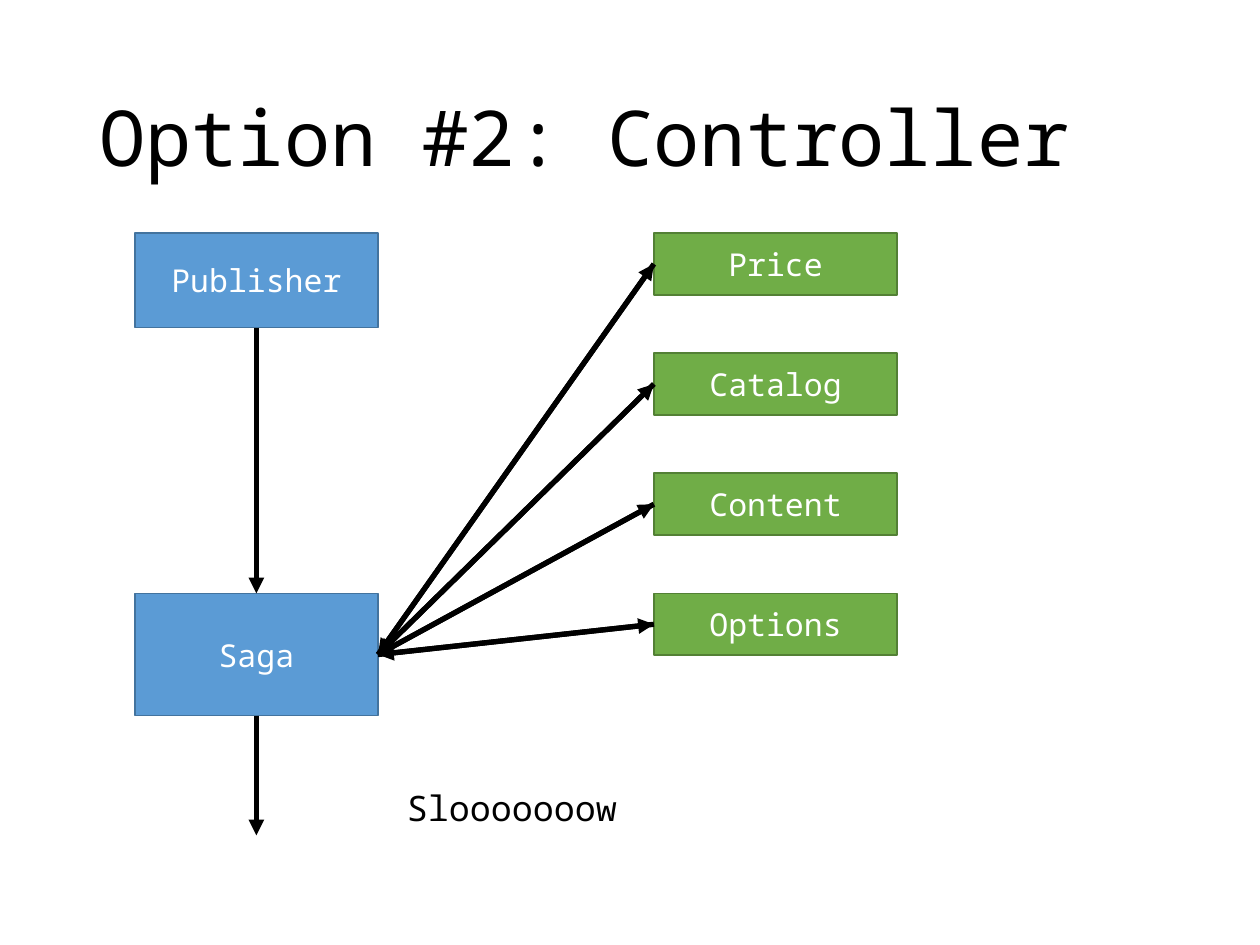
from lxml import etree
from pptx import Presentation
from pptx.dml.color import RGBColor
from pptx.enum.shapes import MSO_CONNECTOR, MSO_SHAPE
from pptx.enum.text import MSO_ANCHOR, MSO_AUTO_SIZE, PP_ALIGN
from pptx.oxml.ns import qn
from pptx.util import Inches, Pt

RECTANGLE = MSO_SHAPE.RECTANGLE
STRAIGHT = MSO_CONNECTOR.STRAIGHT
MIDDLE = MSO_ANCHOR.MIDDLE
TOP_ANCHOR = MSO_ANCHOR.TOP
CENTER = PP_ALIGN.CENTER
LEFT_ALIGN = PP_ALIGN.LEFT
GROW = MSO_AUTO_SIZE.SHAPE_TO_FIT_TEXT

BLACK = RGBColor(0x00, 0x00, 0x00)
WHITE = RGBColor(0xFF, 0xFF, 0xFF)
BLUE = RGBColor(0x5B, 0x9B, 0xD5)
DARK_BLUE = RGBColor(0x43, 0x73, 0x9E)
GREEN = RGBColor(0x70, 0xAD, 0x47)
DARK_GREEN = RGBColor(0x53, 0x80, 0x35)

FONT_NAME = "Noto Sans Mono"
TOP, LEFT, BOTTOM, RIGHT = range(4)
SERVICES = ["Price", "Catalog", "Content", "Options"]


def apply_format(target, values):
    for name, value in values.items():
        setattr(target, name, value)


def write_text(shape, text, size, color, frame_format, paragraph_format):
    apply_format(shape.text_frame, frame_format)
    paragraph = shape.text_frame.paragraphs[0]
    paragraph.text = text
    apply_format(paragraph, paragraph_format)
    font = paragraph.runs[0].font
    apply_format(font, {"name": FONT_NAME, "size": Pt(size)})
    font.color.rgb = color


def add_label(slide, box, text, size, frame_format, paragraph_format):
    label = slide.shapes.add_textbox(*map(Inches, box))
    write_text(label, text, size, BLACK, frame_format, paragraph_format)


def add_box(slide, box, text, fill_color, line_color):
    shape = slide.shapes.add_shape(RECTANGLE, *map(Inches, box))
    shape.shadow.inherit = False
    shape.fill.solid()
    shape.fill.fore_color.rgb = fill_color
    shape.line.color.rgb = line_color
    shape.line.width = Pt(1)
    write_text(shape, text, 18, WHITE,
               {"word_wrap": True, "vertical_anchor": MIDDLE},
               {"alignment": CENTER})
    return shape


def add_arrow(slide, start, end):
    connector = slide.shapes.add_connector(STRAIGHT, 0, 0, 0, 0)
    connector.begin_connect(*start)
    if isinstance(end[0], int):
        connector.end_x, connector.end_y = end
    else:
        connector.end_connect(*end)
    connector.line.color.rgb = BLACK
    connector.line.width = Pt(3)
    properties = connector.line._get_or_add_ln()
    etree.SubElement(properties, qn("a:tailEnd"), type="triangle")
    etree.SubElement(properties.getparent(), qn("a:effectLst"))


def add_title(slide, box):
    add_label(slide, box, "Option #2: Controller", 44,
              {"word_wrap": True, "vertical_anchor": MIDDLE},
              {"alignment": LEFT_ALIGN, "line_spacing": 0.9})


def add_controller(slide, box):
    left, top, width, height = box
    publisher = add_box(slide, (left, top, width, 0.75),
                        "Publisher", BLUE, DARK_BLUE)
    saga = add_box(slide, (left, top + 2.86, width, 0.97),
                   "Saga", BLUE, DARK_BLUE)
    add_arrow(slide, (publisher, BOTTOM), (saga, TOP))
    add_arrow(slide, (saga, BOTTOM),
              (Inches(left + width / 2), Inches(top + height)))
    return saga


def add_services(slide, box):
    left, top, width, height = box
    box_height = 0.49
    pitch = (height - box_height) / (len(SERVICES) - 1)
    return [add_box(slide, (left, top + index * pitch, width, box_height),
                    name, GREEN, DARK_GREEN)
            for index, name in enumerate(SERVICES)]


def add_exchanges(slide, saga, services):
    for service in services:
        add_arrow(slide, (saga, RIGHT), (service, LEFT))
        add_arrow(slide, (service, LEFT), (saga, RIGHT))


def add_remark(slide, box):
    add_label(slide, box, "Slooooooow", 20,
              {"word_wrap": False, "auto_size": GROW,
               "vertical_anchor": TOP_ANCHOR},
              {"alignment": LEFT_ALIGN})


def main():
    presentation = Presentation()
    presentation.slide_width = Inches(10)
    presentation.slide_height = Inches(7.5)
    slide = presentation.slides.add_slide(presentation.slide_layouts[6])
    add_title(slide, (0.69, 0.4, 8.62, 1.45))
    saga = add_controller(slide, (1.07, 1.85, 1.93, 4.78))
    services = add_services(slide, (5.19, 1.85, 1.93, 3.35))
    add_exchanges(slide, saga, services)
    add_remark(slide, (3.13, 6.19, 1.88, 0.44))
    presentation.save("out.pptx")


if __name__ == "__main__":
    main()
